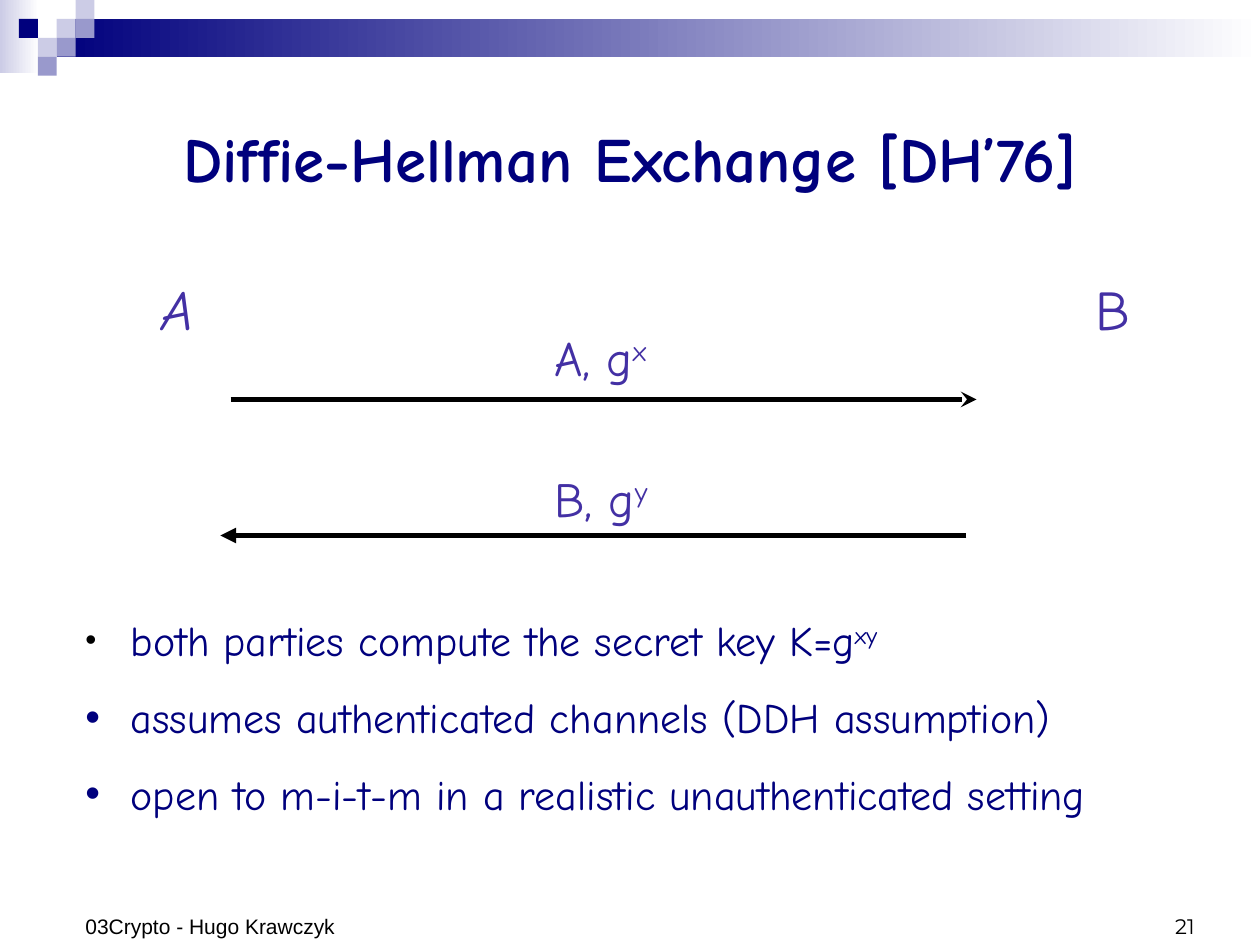
from dataclasses import dataclass

from lxml.etree import SubElement
from pptx import Presentation
from pptx.dml.color import RGBColor
from pptx.enum.shapes import MSO_CONNECTOR, MSO_SHAPE
from pptx.enum.text import MSO_ANCHOR, PP_ALIGN
from pptx.oxml.ns import qn
from pptx.util import Inches, Pt


@dataclass(frozen=True)
class Theme:
    navy: str = "00007D"
    violet: str = "4330A4"
    mid: str = "9999CC"
    pale: str = "CCCCE6"
    white: str = "FFFFFF"
    black: str = "000000"
    hand: str = "Comic Neue"
    sans: str = "Arial"
    number: str = "Montserrat"
    title_size: int = 36
    party_size: int = 32
    message_size: int = 28
    bullet_size: int = 24
    footer_size: int = 12
    arrow_width: int = 3


THEME = Theme()


def add_block(slide, left, top, width, height, *colors):
    """A plain rectangle; two colours give a left-to-right gradient."""
    block = slide.shapes.add_shape(MSO_SHAPE.RECTANGLE, Inches(left), Inches(top),
                                   Inches(width), Inches(height))
    block.shadow.inherit = False
    block.line.fill.background()
    if len(colors) == 1:
        block.fill.solid()
        block.fill.fore_color.rgb = RGBColor.from_string(colors[0])
    else:
        block.fill.gradient()
        block.fill.gradient_angle = 0
        for stop, color in zip(block.fill.gradient_stops, colors):
            stop.color.rgb = RGBColor.from_string(color)


def add_frame(slide, left, top, width, height, anchor=MSO_ANCHOR.TOP):
    frame = slide.shapes.add_textbox(Inches(left), Inches(top),
                                     Inches(width), Inches(height)).text_frame
    frame.word_wrap = True
    frame.vertical_anchor = anchor
    return frame


def write(paragraph, text, size, color, font=THEME.hand, superscript="", bold=False, italic=False):
    paragraph.add_run().text = text
    if superscript:
        raised = paragraph.add_run()
        raised.text = superscript
        raised._r.get_or_add_rPr().set("baseline", "30000")
    paragraph.font.name = font
    paragraph.font.size = Pt(size)
    paragraph.font.bold = bold
    paragraph.font.italic = italic
    paragraph.font.color.rgb = RGBColor.from_string(color)


def add_bullet(paragraph, color, percent, indent=0.36):
    properties = paragraph._p.get_or_add_pPr()
    properties.set("marL", str(Inches(indent)))
    properties.set("indent", str(-Inches(indent)))
    SubElement(SubElement(properties, qn("a:buClr")), qn("a:srgbClr"), val=color)
    SubElement(properties, qn("a:buSzPct"), val=str(percent * 1000))
    SubElement(properties, qn("a:buFont"), typeface=THEME.sans)
    SubElement(properties, qn("a:buChar"), char="•")


def add_arrow(slide, start, end, y, head):
    arrow = slide.shapes.add_connector(MSO_CONNECTOR.STRAIGHT, Inches(start), Inches(y),
                                       Inches(end), Inches(y))
    arrow.line.width = Pt(THEME.arrow_width)
    arrow.line.color.rgb = RGBColor.from_string(THEME.black)
    SubElement(arrow.line._get_or_add_ln(), qn("a:tailEnd"), type=head)
    SubElement(arrow._element.spPr, qn("a:effectLst"))


def add_banner(slide):
    add_block(slide, 0, 0, 0.31, 0.58, THEME.pale, THEME.white)
    add_block(slide, 0.45, 0.15, 9.55, 0.3, THEME.navy, THEME.white)
    side = 0.15
    squares = [(3, 1, THEME.pale), (4, 0, THEME.pale), (4, 1, THEME.mid), (2, 2, THEME.pale),
               (1, 1, THEME.navy), (3, 2, THEME.mid), (2, 3, THEME.mid)]
    for column, row, color in squares:
        add_block(slide, column * side, row * side, side, side, color)


def add_exchange(slide):
    # The two parties
    for party, left, italic in [("A", 1.18, True), ("B", 8.6, False)]:
        frame = add_frame(slide, left, 2.13, 0.6, 0.6)
        write(frame.paragraphs[0], party, THEME.party_size, THEME.violet, italic=italic)

    # One message each way, above its arrow
    messages = [("A, g", "x", 2.55, 1.83, 7.75, 3.17, "stealth"),
                ("B, g", "y", 3.67, 7.67, 1.75, 4.25, "triangle")]
    for text, exponent, top, start, end, y, head in messages:
        frame = add_frame(slide, 4.3, top, 1.6, 0.57)
        write(frame.paragraphs[0], text, THEME.message_size, THEME.violet, superscript=exponent)
        add_arrow(slide, start, end, y, head)


def add_remarks(slide):
    remarks = [("both parties compute the secret key K=g", "xy", THEME.black, 75),
               ("assumes authenticated channels (DDH assumption)", "", THEME.navy, 100),
               ("open to m-i-t-m in a realistic unauthenticated setting", "", THEME.navy, 100)]
    frame = add_frame(slide, 0.58, 4.83, 9.17, 1.72)
    for index, (text, exponent, bullet_color, percent) in enumerate(remarks):
        paragraph = frame.add_paragraph() if index else frame.paragraphs[0]
        if index:
            paragraph.space_before = Pt(15)
        add_bullet(paragraph, bullet_color, percent)
        write(paragraph, text, THEME.bullet_size, THEME.navy, superscript=exponent)


def add_footer(slide):
    footer = add_frame(slide, 0.58, 7, 2.33, 0.5, MSO_ANCHOR.BOTTOM)
    write(footer.paragraphs[0], "03Crypto - Hugo Krawczyk", THEME.footer_size, THEME.black,
          THEME.sans)
    page = add_frame(slide, 7.25, 7, 2.33, 0.5, MSO_ANCHOR.BOTTOM)
    page.paragraphs[0].alignment = PP_ALIGN.RIGHT
    write(page.paragraphs[0], "21", THEME.footer_size, THEME.black, THEME.number)


def main():
    deck = Presentation()
    deck.slide_width, deck.slide_height = Inches(10), Inches(7.5)
    slide = deck.slides.add_slide(deck.slide_layouts[6])

    add_banner(slide)
    title = add_frame(slide, 0.5, 0.5, 9, 1.5, MSO_ANCHOR.MIDDLE)
    title.paragraphs[0].alignment = PP_ALIGN.CENTER
    write(title.paragraphs[0], "Diffie-Hellman Exchange [DH’76]", THEME.title_size, THEME.navy,
          bold=True)
    add_exchange(slide)
    add_remarks(slide)
    add_footer(slide)
    deck.save("out.pptx")


if __name__ == "__main__":
    main()
